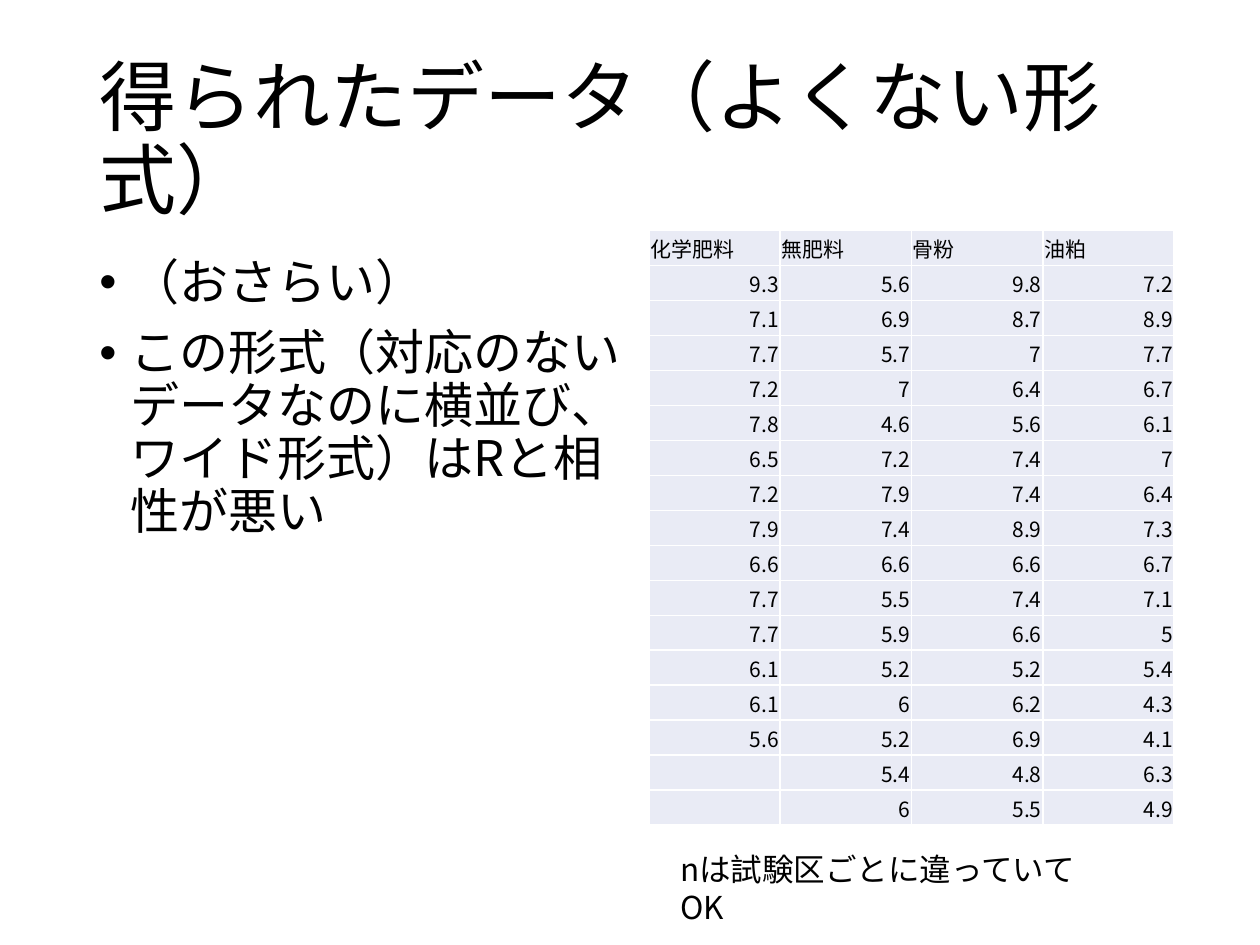
from dataclasses import dataclass

from pptx import Presentation
from pptx import util as u
from pptx.dml.color import RGBColor
from pptx.enum import text
from pptx.oxml import xmlchemy as xml


@dataclass(frozen=True)
class Theme:
    font: str = "Noto Sans CJK JP"
    ink: str = "000000"
    cell: str = "E9EBF5"
    rule: str = "FFFFFF"
    title: int = 44
    body: int = 28
    note: int = 18
    data: int = 12


THEME = Theme()
HEADS = ["化学肥料", "無肥料", "骨粉", "油粕"]
YIELDS = [
    ["9.3", "5.6", "9.8", "7.2"],
    ["7.1", "6.9", "8.7", "8.9"],
    ["7.7", "5.7", "7", "7.7"],
    ["7.2", "7", "6.4", "6.7"],
    ["7.8", "4.6", "5.6", "6.1"],
    ["6.5", "7.2", "7.4", "7"],
    ["7.2", "7.9", "7.4", "6.4"],
    ["7.9", "7.4", "8.9", "7.3"],
    ["6.6", "6.6", "6.6", "6.7"],
    ["7.7", "5.5", "7.4", "7.1"],
    ["7.7", "5.9", "6.6", "5"],
    ["6.1", "5.2", "5.2", "5.4"],
    ["6.1", "6", "6.2", "4.3"],
    ["5.6", "5.2", "6.9", "4.1"],
    ["", "5.4", "4.8", "6.3"],
    ["", "6", "5.5", "4.9"],
]


def add_node(parent, tag, **attrs):
    node = xml.OxmlElement(tag)
    for name, value in attrs.items():
        node.set(name, str(value))
    parent.append(node)
    return node


def add_run(para, words, size):
    run = para.add_run()
    run.text = words
    font = run.font
    font.size = u.Pt(size)
    font.name = THEME.font
    font.color.rgb = RGBColor.from_string(THEME.ink)
    add_node(run._r.get_or_add_rPr(), "a:ea", typeface=THEME.font)


def add_box(slide, left, top, width, height, anchor=text.MSO_ANCHOR.TOP):
    box = slide.shapes.add_textbox(*map(u.Inches, (left, top, width, height)))
    frame = box.text_frame
    frame.word_wrap = True
    frame.vertical_anchor = anchor
    return frame


def add_title(slide, words):
    frame = add_box(slide, 0.69, 0.4, 8.62, 1.45, text.MSO_ANCHOR.MIDDLE)
    para = frame.paragraphs[0]
    para.line_spacing = 0.9
    add_run(para, words, THEME.title)


def add_list(slide, items):
    frame = add_box(slide, 0.69, 2, 4.46, 4.76)
    for i, words in enumerate(items):
        para = frame.add_paragraph() if i else frame.paragraphs[0]
        props = para._p.get_or_add_pPr()
        props.set("marL", str(u.Inches(0.25)))
        props.set("indent", str(u.Inches(-0.25)))
        add_node(props, "a:buFont", typeface="Arial")
        add_node(props, "a:buChar", char="•")
        para.line_spacing = 0.9
        if i:
            para.space_before = u.Pt(10)
        add_run(para, words, THEME.body)


def add_note(slide, words):
    frame = add_box(slide, 5.3, 6.7, 3.47, 0.4)
    add_run(frame.paragraphs[0], words, THEME.note)


def style_cell(cell):
    cell.margin_left = cell.margin_right = cell.margin_top = u.Inches(0.01)
    cell.margin_bottom = 0
    cell.vertical_anchor = text.MSO_ANCHOR.MIDDLE
    props = cell._tc.get_or_add_tcPr()
    for side in "LRTB":
        line = add_node(props, f"a:ln{side}", w=u.Pt(1))
        fill = add_node(line, "a:solidFill")
        add_node(fill, "a:srgbClr", val=THEME.rule)
    cell.fill.solid()
    cell.fill.fore_color.rgb = RGBColor.from_string(THEME.cell)


def add_data(slide, heads, rows):
    grid = [heads] + rows
    frame = slide.shapes.add_table(
        len(grid), len(heads), u.Inches(5.15), u.Inches(1.83),
        u.Inches(4.17), u.Inches(4.72))
    table = frame.table
    table.first_row = table.horz_banding = False
    for r, row in enumerate(grid):
        for c, words in enumerate(row):
            cell = table.cell(r, c)
            style_cell(cell)
            para = cell.text_frame.paragraphs[0]
            if r:
                para.alignment = text.PP_ALIGN.RIGHT
            if words:
                add_run(para, words, THEME.data)
            else:
                add_node(para._p, "a:endParaRPr", sz=THEME.data * 100)


def main():
    deck = Presentation()
    deck.slide_width = u.Inches(10)
    deck.slide_height = u.Inches(7.5)
    slide = deck.slides.add_slide(deck.slide_layouts[6])
    add_title(slide, "得られたデータ（よくない形式）")
    add_list(slide, [
        "（おさらい）",
        "この形式（対応のないデータなのに横並び、ワイド形式）はRと相性が悪い",
    ])
    add_data(slide, HEADS, YIELDS)
    add_note(slide, "nは試験区ごとに違っていてOK")
    deck.save("out.pptx")


if __name__ == "__main__":
    main()
